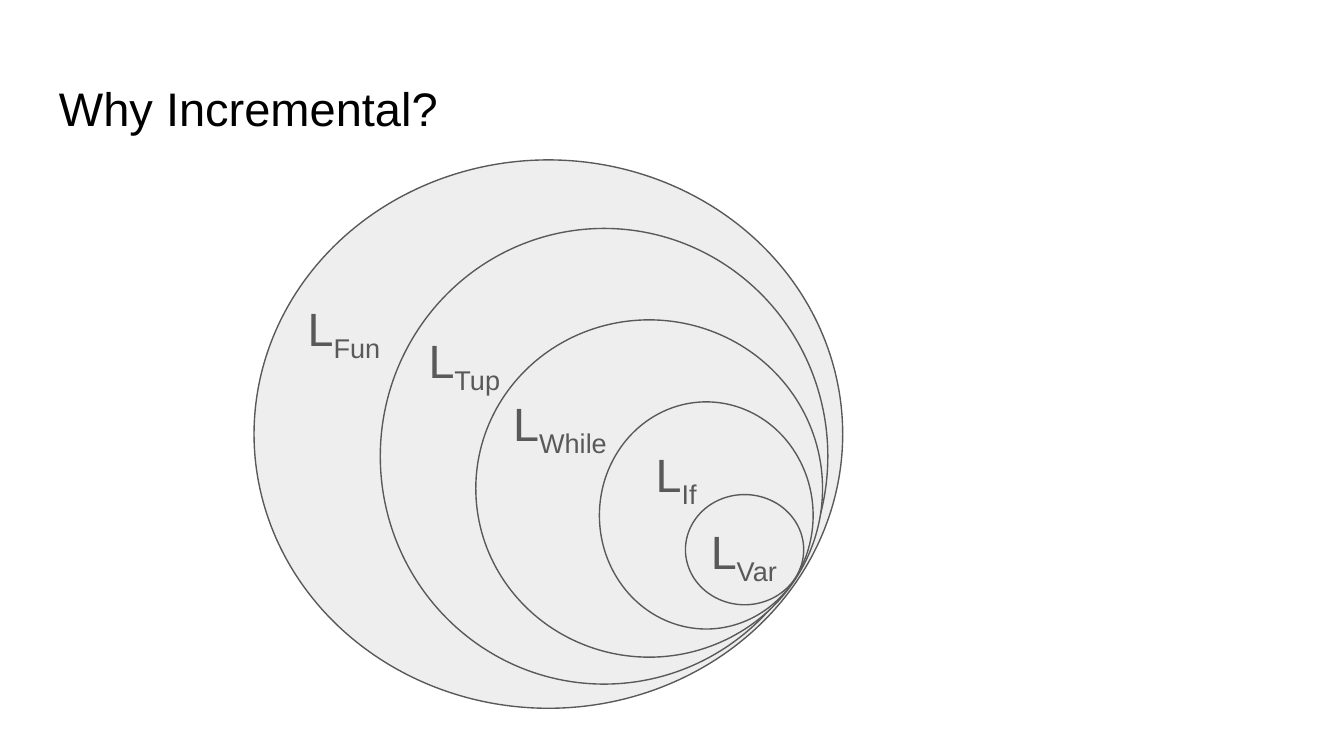
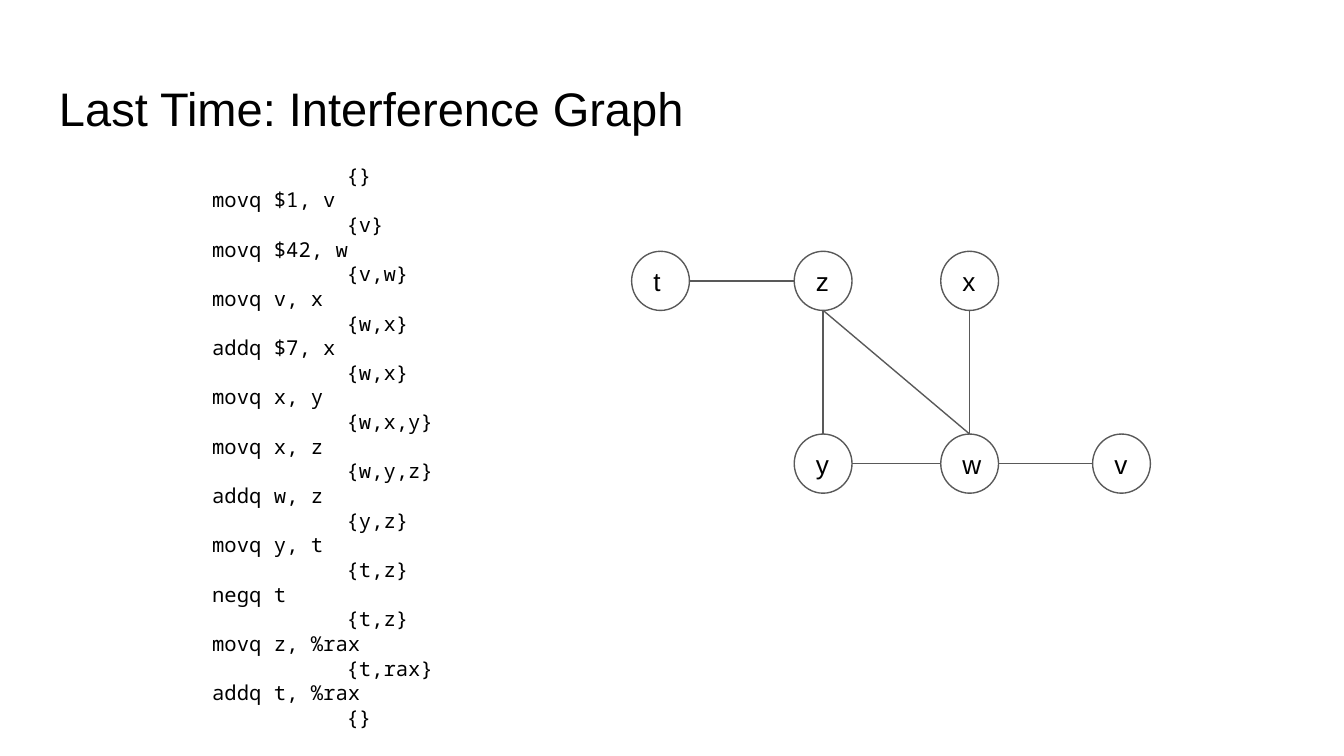
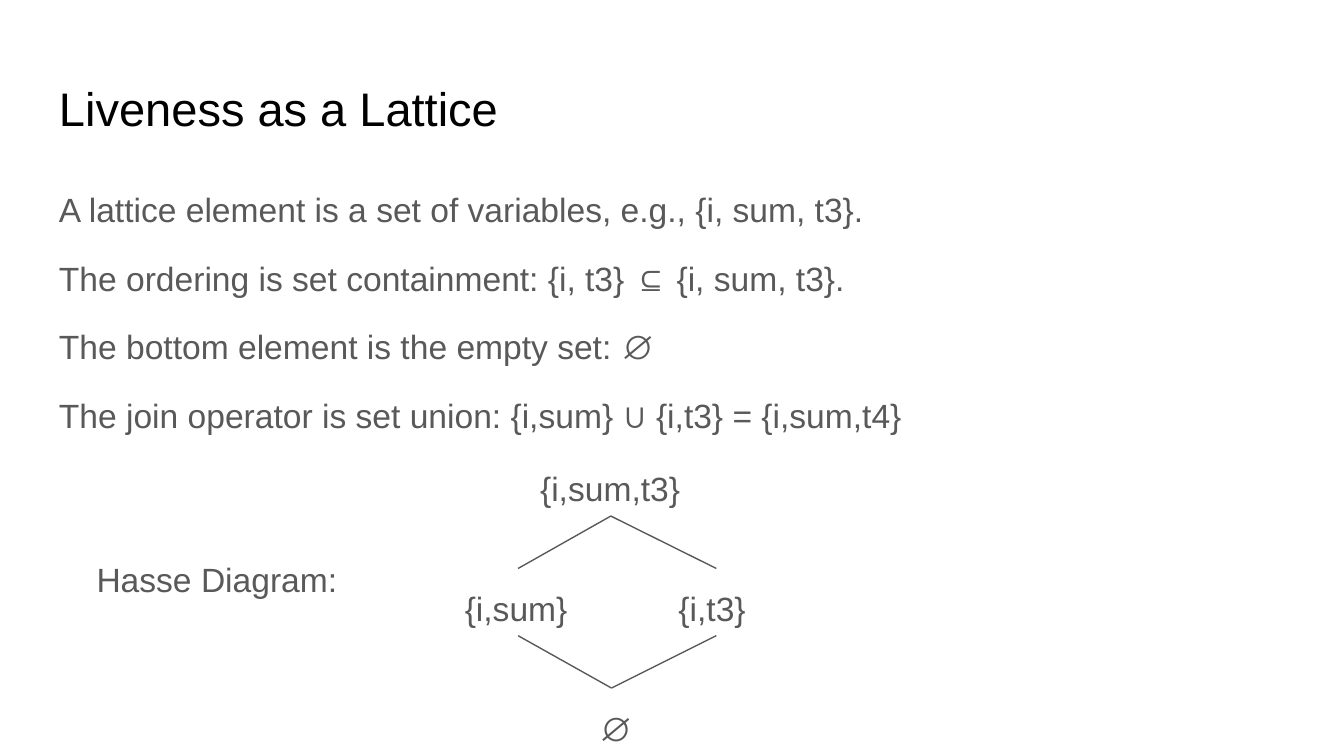
"""Build three compiler-course slides: language subsets, interference graph, liveness lattice."""
from lxml.etree import SubElement
from pptx import Presentation
from pptx.dml.color import RGBColor
from pptx.enum.shapes import MSO_CONNECTOR as Connector, MSO_SHAPE as Shape
from pptx.enum.text import MSO_ANCHOR as Anchor, PP_ALIGN as Align
from pptx.oxml.ns import qn
from pptx.util import Inches, Pt

BLACK, GREY, PALE = "000000", "595959", "EEEEEE"
SANS, MONO = "Arial", "Noto Sans Mono"
INSET = 0.1
TITLE_BOX = (0.34, 0.49, 9.32, 0.63)

LANGUAGES = [
    ("Fun", (1.89, 1.19, 4.38, 4.08), (2.19, 2.06)),
    ("Tup", (2.83, 1.7, 3.33, 3.39), (3.09, 2.3)),
    ("While", (3.54, 2.38, 2.58, 2.51), (3.72, 2.77)),
    ("If", (4.46, 2.99, 1.59, 1.69), (4.78, 3.15)),
    ("Var", (5.1, 3.68, 0.88, 0.82), (5.19, 3.72)),
]
LANGUAGE_LABEL_SIZE = (1.05, 0.62)

LIVE_AT_START = "{}"
PROGRAM = [
    ("movq $1, v", "{v}"),
    ("movq $42, w", "{v,w}"),
    ("movq v, x", "{w,x}"),
    ("addq $7, x", "{w,x}"),
    ("movq x, y", "{w,x,y}"),
    ("movq x, z", "{w,y,z}"),
    ("addq w, z", "{y,z}"),
    ("movq y, t", "{t,z}"),
    ("negq t", "{t,z}"),
    ("movq z, %rax", "{t,rax}"),
    ("addq t, %rax", "{}"),
]
PROGRAM_BOX = (0.48, 1.11, 3.49, 4.46)
INSTRUCTION_INDENT, LIVE_INDENT = 1, 2

UPPER, LOWER = 1.87, 3.23
VARIABLES = {
    "t": (4.7, UPPER), "z": (5.91, UPPER), "x": (7, UPPER),
    "y": (5.91, LOWER), "w": (7, LOWER), "v": (8.13, LOWER),
}
INTERFERENCES = ["tz", "zy", "yw", "xw", "zw", "wv"]
NODE_W, NODE_H = 0.43, 0.44

LATTICE_FACTS = [
    "A lattice element is a set of variables, e.g., {i, sum, t3}.",
    "The ordering is set containment: {i, t3} ⊆ {i, sum, t3}.",
    "The bottom element is the empty set: ∅",
    "The join operator is set union: {i,sum} ∪ {i,t3} = {i,sum,t4}",
]
FACTS_BOX = (0.34, 1.26, 9.32, 2.28)
HASSE_CAPTION = ("Hasse Diagram:", (0.62, 4.06, 2.14, 0.5))
HASSE = {
    "{i,sum,t3}": (3.92, 3.34, 1.25, 0.5),
    "{i,sum}": (3.36, 4.23, 0.99, 0.5),
    "{i,t3}": (4.95, 4.23, 0.76, 0.5),
    "∅": (4.36, 5.12, 0.38, 0.5),
}
HASSE_ORDER = [
    ("{i,sum,t3}", "{i,sum}"), ("{i,sum,t3}", "{i,t3}"),
    ("{i,sum}", "∅"), ("{i,t3}", "∅"),
]


def rgb(code):
    """Turn a hex string into a colour."""
    return RGBColor.from_string(code)


def set_insets(frame, right=INSET):
    """Give a text frame its inner margins."""
    frame.margin_left = frame.margin_top = frame.margin_bottom = Inches(INSET)
    frame.margin_right = Inches(right)


def add_run(paragraph, words, size, colour=GREY, font=SANS):
    """Append one styled run."""
    run = paragraph.add_run()
    run.text = words
    run.font.size, run.font.name = Pt(size), font
    run.font.color.rgb = rgb(colour)
    return run


def add_frame(slide, box):
    """Add an empty wrapping text box and return its frame."""
    frame = slide.shapes.add_textbox(*map(Inches, box)).text_frame
    frame.word_wrap = True
    set_insets(frame, right=0)
    return frame


def add_label(slide, words, box, size, colour=GREY, spacing=None):
    """Add a one-paragraph text box and return the paragraph."""
    paragraph = add_frame(slide, box).paragraphs[0]
    paragraph.line_spacing = spacing
    add_run(paragraph, words, size, colour)
    return paragraph


def add_ellipse(slide, box, fill=None):
    """Add an outlined ellipse, filled on request."""
    ellipse = slide.shapes.add_shape(Shape.OVAL, *map(Inches, box))
    ellipse.shadow.inherit = False
    if fill:
        ellipse.fill.solid()
        ellipse.fill.fore_color.rgb = rgb(fill)
    else:
        ellipse.fill.background()
    ellipse.line.color.rgb, ellipse.line.width = rgb(GREY), Pt(0.75)
    return ellipse


def add_edge(slide, start, end):
    """Draw a thin straight line between two points."""
    edge = slide.shapes.add_connector(Connector.STRAIGHT, *map(Inches, start + end))
    edge.line.color.rgb, edge.line.width = rgb(GREY), Pt(0.75)
    SubElement(edge._element.spPr, qn("a:effectLst"))


def bottom_to_top(upper, lower):
    """Return the line from the foot of one box to the head of another."""
    return ((upper[0] + upper[2] / 2, upper[1] + upper[3]),
            (lower[0] + lower[2] / 2, lower[1]))


def right_to_left(first, second):
    """Return the line between the facing sides of two boxes in a row."""
    return ((first[0] + first[2], first[1] + first[3] / 2),
            (second[0], second[1] + second[3] / 2))


def add_slide(deck, title):
    """Add a blank slide with its title."""
    slide = deck.slides.add_slide(deck.slide_layouts[6])
    add_label(slide, title, TITLE_BOX, 25.2, BLACK)
    return slide


def build_languages(deck):
    """Nest each language inside the one that extends it."""
    slide = add_slide(deck, "Why Incremental?")
    for _, circle, _ in LANGUAGES:
        add_ellipse(slide, circle, PALE)
    for name, _, corner in LANGUAGES:
        label = add_label(slide, "L", corner + LANGUAGE_LABEL_SIZE, 25, spacing=1.15)
        subscript = add_run(label, name, 25)
        subscript._r.get_or_add_rPr().set("baseline", "-25000")


def build_interference(deck):
    """Show the program with its live sets beside the interference graph."""
    slide = add_slide(deck, "Last Time: Interference Graph")
    listing = [(LIVE_AT_START, LIVE_INDENT)]
    for instruction, live in PROGRAM:
        listing += [(instruction, INSTRUCTION_INDENT), (live, LIVE_INDENT)]
    frame = add_frame(slide, PROGRAM_BOX)
    for number, (code, indent) in enumerate(listing):
        line = frame.add_paragraph() if number else frame.paragraphs[0]
        line._p.get_or_add_pPr().set("marL", str(Inches(indent)))
        add_run(line, code, 11, BLACK, MONO)

    nodes = {name: corner + (NODE_W, NODE_H) for name, corner in VARIABLES.items()}
    for first, second in INTERFERENCES:
        same_row = nodes[first][1] == nodes[second][1]
        route = right_to_left if same_row else bottom_to_top
        add_edge(slide, *route(nodes[first], nodes[second]))
    for name, box in nodes.items():
        frame = add_ellipse(slide, box).text_frame
        set_insets(frame)
        frame.vertical_anchor = Anchor.MIDDLE
        frame.paragraphs[0].alignment = Align.LEFT
        add_run(frame.paragraphs[0], name, 14, BLACK)


def build_lattice(deck):
    """State the lattice facts and draw the Hasse diagram."""
    slide = add_slide(deck, "Liveness as a Lattice")
    frame = add_frame(slide, FACTS_BOX)
    for number, fact in enumerate(LATTICE_FACTS):
        paragraph = frame.add_paragraph() if number else frame.paragraphs[0]
        paragraph.line_spacing = 1.15
        if number:
            paragraph.space_before = Pt(12)
        add_run(paragraph, fact, 18)
    add_label(slide, *HASSE_CAPTION, 18)
    for element, box in HASSE.items():
        add_label(slide, element, box, 18, spacing=1.15)
    for upper, lower in HASSE_ORDER:
        add_edge(slide, *bottom_to_top(HASSE[upper], HASSE[lower]))


def main():
    """Build and save the deck."""
    deck = Presentation()
    deck.slide_width = Inches(10)
    deck.slide_height = deck.slide_width * 9 // 16
    build_languages(deck)
    build_interference(deck)
    build_lattice(deck)
    deck.save("out.pptx")


if __name__ == "__main__":
    main()
